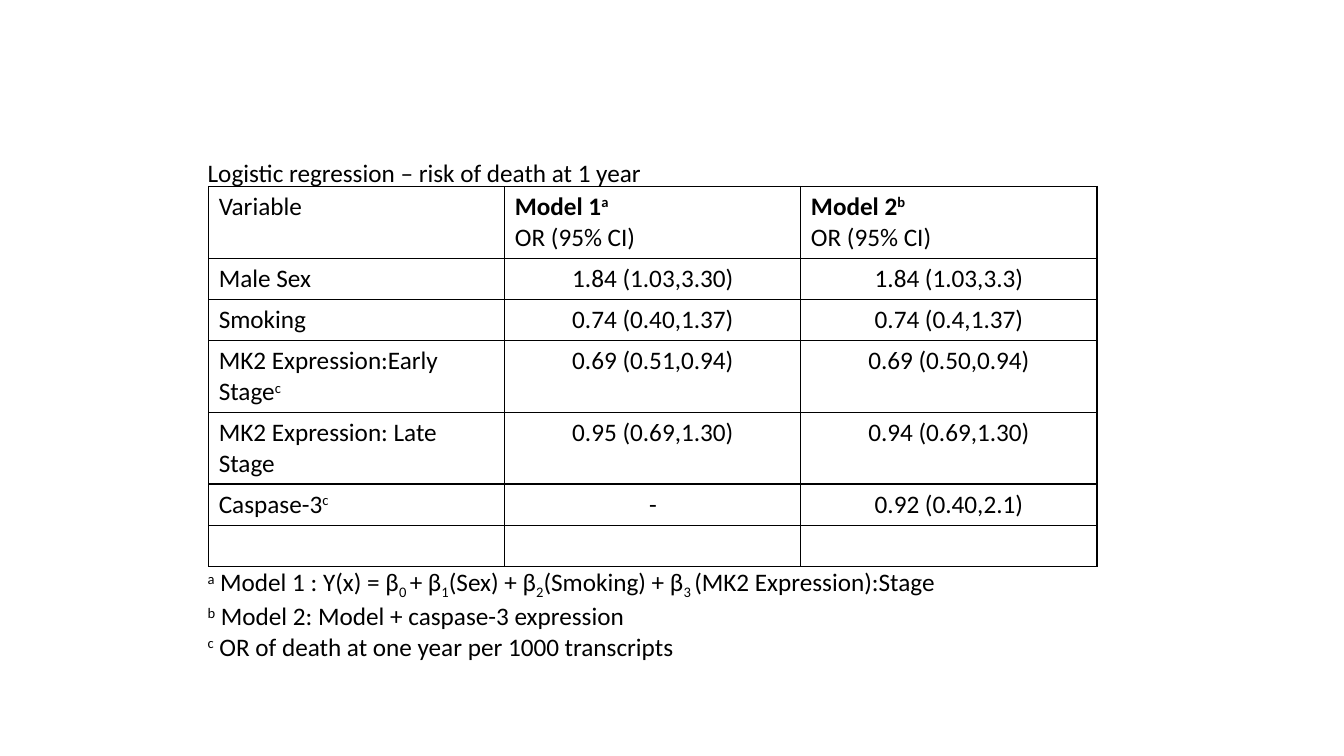
from lxml.etree import SubElement
from pptx import Presentation
from pptx.dml.color import RGBColor
from pptx.enum.text import MSO_ANCHOR as Anchor, MSO_AUTO_SIZE as AutoSize, PP_ALIGN as Align
from pptx.oxml.ns import qn
from pptx.util import Inches, Pt

BLACK = "000000"
SUP, SUB = 30, -25
CAPTION = "Logistic regression – risk of death at 1 year"
OR_LINE = ["OR (95% CI)"]
ROWS = [
    ([["Variable"]],
     [[("Model 1", 0, True), ("a", SUP, True)], OR_LINE],
     [[("Model 2", 0, True), ("b", SUP, True)], OR_LINE]),
    ([["Male Sex"]], [["1.84 (1.03,3.30)"]], [["1.84 (1.03,3.3)"]]),
    ([["Smoking"]], [["0.74 (0.40,1.37)"]], [["0.74 (0.4,1.37)"]]),
    ([["MK2 Expression:Early Stage", ("c", SUP)]],
     [["0.69 (0.51,0.94)"]], [["0.69 (0.50,0.94)"]]),
    ([["MK2 Expression: Late Stage"]], [["0.95 (0.69,1.30)"]], [["0.94 (0.69,1.30)"]]),
    ([["Caspase-3", ("c", SUP)]], [["-"]], [["0.92 (0.40,2.1)"]]),
    ([], [], []),
]
NOTES = [
    [("a", SUP), " Model 1 : Y(x) = β", ("0 ", SUB), "+ β", ("1", SUB), "(Sex) + β",
     ("2", SUB), "(Smoking) + β", ("3 ", SUB), "(MK2 Expression):Stage"],
    [("b", SUP), " Model 2: Model + caspase-3 expression"],
    [("c", SUP), " OR of death at one year per 1000 transcripts"],
]


def rgb(color):
    return RGBColor.from_string(color)


def add_run(p, text, base=0, bold=False):
    r = p.add_run()
    r.text = text
    r.font.name, r.font.size, r.font.bold = "Calibri", Pt(18), bold
    r.font.color.rgb = rgb(BLACK)
    if base:
        r._r.get_or_add_rPr().set("baseline", str(base * 1000))


def write(tf, lines, align=Align.LEFT):
    for i, line in enumerate(lines):
        p = tf.add_paragraph() if i else tf.paragraphs[0]
        p.alignment = align
        for part in line:
            add_run(p, *([part] if isinstance(part, str) else part))


def add_borders(cell):
    tcPr = cell._tc.get_or_add_tcPr()
    for side in ("lnL", "lnR", "lnT", "lnB"):
        ln = SubElement(tcPr, qn(f"a:{side}"), w=str(Pt(1)))
        fill = SubElement(ln, qn("a:solidFill"))
        SubElement(fill, qn("a:srgbClr"), val=BLACK)


def add_caption(s, x, y, w, h):
    sp = s.shapes.title
    sp.left, sp.top, sp.width, sp.height = map(Inches, (x, y, w, h))
    tf = sp.text_frame
    tf.vertical_anchor = Anchor.TOP
    tf.auto_size = AutoSize.NONE
    write(tf, [[CAPTION]])


def add_results(s, x, y, w, h):
    box = map(Inches, (x, y, w, h))
    table = s.shapes.add_table(len(ROWS), len(ROWS[0]), *box).table
    table.first_row = table.horz_banding = False
    for i, row in enumerate(ROWS):
        for j, lines in enumerate(row):
            cell = table.cell(i, j)
            add_borders(cell)
            cell.fill.background()
            write(cell.text_frame, lines, Align.CENTER if i and j else Align.LEFT)


def add_notes(s, x, y, w, h):
    tf = s.shapes.add_textbox(*map(Inches, (x, y, w, h))).text_frame
    tf.word_wrap = True
    write(tf, NOTES)


def main():
    prs = Presentation()
    prs.slide_width, prs.slide_height = Inches(13.33), Inches(7.5)
    s = prs.slides.add_slide(prs.slide_layouts[5])
    add_results(s, 2.07, 1.85, 8.81, 2.87)
    add_caption(s, 1.96, 1.51, 5.79, 0.4)
    add_notes(s, 1.96, 5.57, 7.58, 1.01)
    prs.save("out.pptx")


if __name__ == "__main__":
    main()
